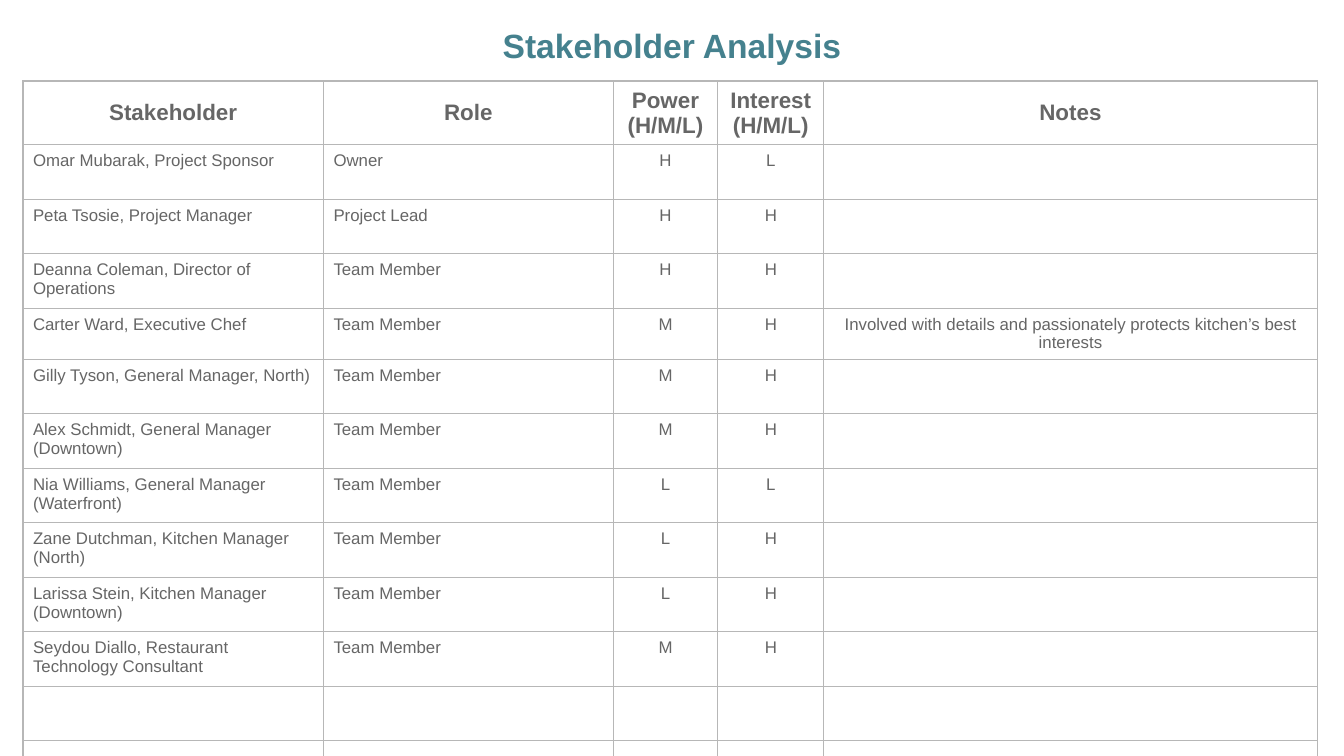
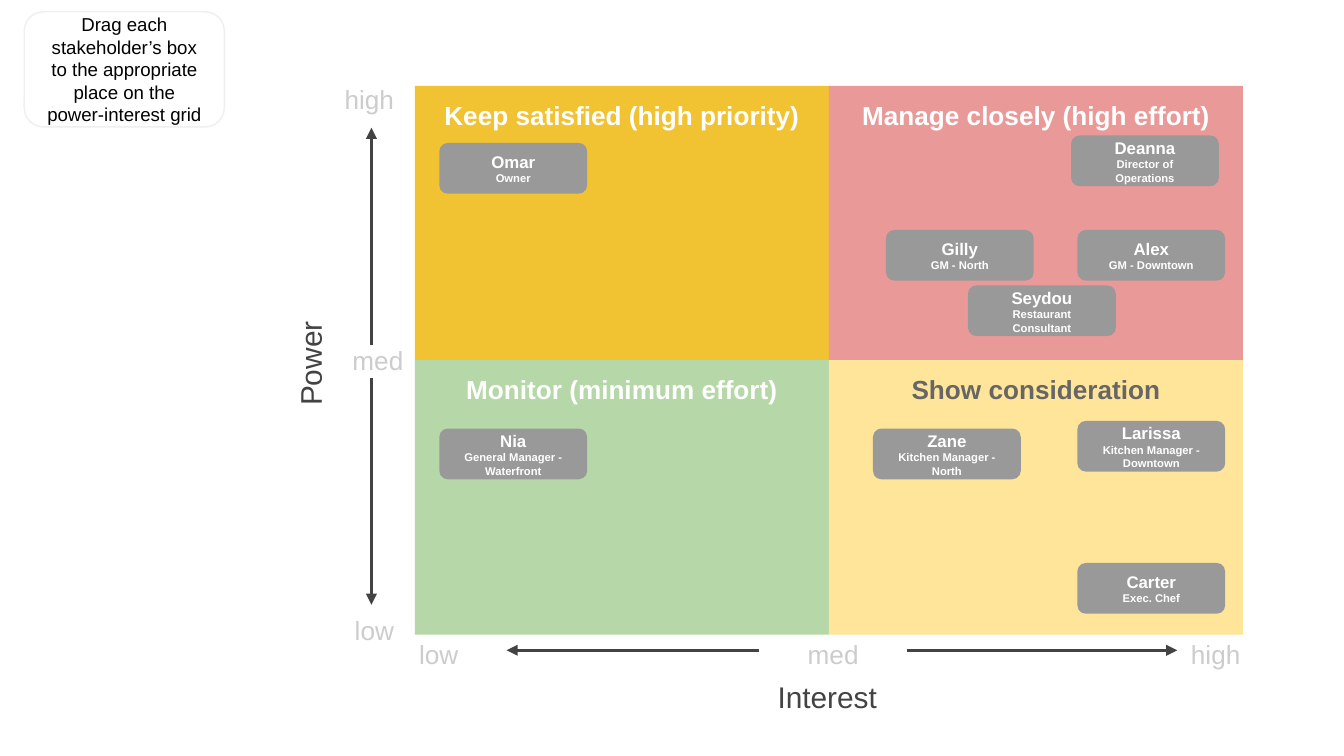
from lxml import etree
from pptx import Presentation
from pptx.dml.color import RGBColor
from pptx.enum.shapes import MSO_CONNECTOR, MSO_SHAPE
from pptx.enum.text import MSO_ANCHOR, MSO_AUTO_SIZE, PP_ALIGN
from pptx.oxml.ns import qn
from pptx.util import Pt

RECTANGLE, ROUNDED = MSO_SHAPE.RECTANGLE, MSO_SHAPE.ROUNDED_RECTANGLE
STRAIGHT = MSO_CONNECTOR.STRAIGHT
TOP, MIDDLE = MSO_ANCHOR.TOP, MSO_ANCHOR.MIDDLE
LEFT, CENTER, RIGHT = PP_ALIGN.LEFT, PP_ALIGN.CENTER, PP_ALIGN.RIGHT
NO_AUTOFIT = MSO_AUTO_SIZE.NONE

FONT = "Arial"
INSET = 7.2
TITLE_ONLY, BLANK = 5, 6
COLORS = {
    "title": "45818E", "table_text": "666666", "border": "B7B7B7",
    "axis": "434343", "scale": "CCCCCC", "chip": "999999",
    "white": "FFFFFF", "black": "000000", "hint_border": "EFEFEF",
    "gold": "F1C232", "rose": "EA9999", "green": "B6D7A8", "cream": "FFE599",
}

# Stakeholder table: all lengths in points
TABLE_LEFT, TABLE_TOP = 12.3, 43.4
COLUMN_WIDTHS = [161, 155.2, 56.1, 56.7, 264.4]
HEADER_HEIGHT, ROW_HEIGHT = 20, 26
HEADERS = ["Stakeholder", "Role", "Power (H/M/L)", "Interest (H/M/L)", "Notes"]
COLUMN_ALIGNMENTS = [LEFT, LEFT, CENTER, CENTER, CENTER]
STAKEHOLDERS = [
    ["Omar Mubarak, Project Sponsor", "Owner", "H", "L", ""],
    ["Peta Tsosie, Project Manager", "Project Lead", "H", "H", ""],
    ["Deanna Coleman, Director of Operations", "Team Member", "H", "H", ""],
    ["Carter Ward, Executive Chef", "Team Member", "M", "H",
     "Involved with details and passionately protects kitchen’s best interests"],
    ["Gilly Tyson, General Manager, North)", "Team Member", "M", "H", ""],
    ["Alex Schmidt, General Manager (Downtown)", "Team Member", "M", "H", ""],
    ["Nia Williams, General Manager (Waterfront)", "Team Member", "L", "L", ""],
    ["Zane Dutchman, Kitchen Manager (North)", "Team Member", "L", "H", ""],
    ["Larissa Stein, Kitchen Manager (Downtown)", "Team Member", "L", "H", ""],
    ["Seydou Diallo, Restaurant Technology Consultant", "Team Member", "M", "H", ""],
]
SPARE_ROWS = 2

# Power-interest grid
GRID_LEFT, GRID_TOP = 222.3, 46
QUADRANT_WIDTH, QUADRANT_HEIGHT = 221.8, 147
QUADRANTS = [  # row by row: heading, fill, text colour
    ("Keep satisfied (high priority)", "gold", "white"),
    ("Manage closely (high effort)", "rose", "white"),
    ("Monitor (minimum effort)", "green", "white"),
    ("Show consideration", "cream", "table_text"),
]
CHIP_WIDTH, CHIP_HEIGHT = 79.2, 27.2
CHIPS = [  # name, role, left, top
    ("Omar", "Owner", 235.4, 76.6),
    ("Deanna", "Director of Operations", 573.8, 72.6),
    ("Gilly", "GM - North", 474.6, 123.2),
    ("Alex", "GM - Downtown", 577.2, 123.2),
    ("Seydou", "Restaurant Consultant", 518.6, 152.9),
    ("Nia", "General Manager - Waterfront", 235.4, 229.6),
    ("Zane", "Kitchen Manager - North", 467.7, 229.6),
    ("Larissa", "Kitchen Manager - Downtown", 577.2, 225.5),
    ("Carter", "Exec. Chef", 577.2, 301.6),
]
SCALE_LABELS = [  # text, box, alignment
    ("high", (122.4, 37.4, 95.8, 18.7), RIGHT),
    ("med", (174.2, 177.1, 49, 31.7), RIGHT),
    ("low", (122.4, 321.8, 95.8, 18.7), RIGHT),
    ("low", (198.7, 334.8, 72.7, 27.4), CENTER),
    ("med", (406.8, 334.8, 79.2, 27.4), CENTER),
    ("high", (614.9, 334.8, 72.7, 27.4), CENTER),
]
VERTICAL_AXIS_X, HORIZONTAL_AXIS_Y = 199, 348.4
ARROWS = [  # start, end
    ((VERTICAL_AXIS_X, 185), (VERTICAL_AXIS_X, 68.4)),
    ((VERTICAL_AXIS_X, 202.3), (VERTICAL_AXIS_X, 324)),
    ((406.8, HORIZONTAL_AXIS_Y), (271.4, HORIZONTAL_AXIS_Y)),
    ((486, HORIZONTAL_AXIS_Y), (630.7, HORIZONTAL_AXIS_Y)),
]


def color(name):
    return RGBColor.from_string(COLORS[name])


def points(lengths):
    return [Pt(length) for length in lengths]


def style_paragraph(paragraph, size, color_name, bold=False, align=CENTER):
    paragraph.alignment = align
    font = paragraph.font
    font.name, font.size, font.bold = FONT, Pt(size), bold
    font.color.rgb = color(color_name)


def write_text(shape, lines, color_name, bold=False, align=CENTER, anchor=TOP):
    """Fill a shape with (text, size) lines, one paragraph each."""
    frame = shape.text_frame
    frame.word_wrap = True
    frame.auto_size = NO_AUTOFIT
    frame.vertical_anchor = anchor
    frame.margin_left = frame.margin_right = Pt(INSET)
    frame.margin_top = frame.margin_bottom = Pt(INSET)
    frame.text = "\n".join(text for text, _ in lines)
    for paragraph, (_, size) in zip(frame.paragraphs, lines):
        style_paragraph(paragraph, size, color_name, bold, align)


def add_title(slide, text):
    title = slide.shapes.title
    title.left, title.top, title.width, title.height = points((60, 3, 600, 36))
    write_text(title, [(text, 18)], "title", bold=True)
    title.text_frame.paragraphs[0].line_spacing = 1.15


def add_label(slide, text, box, size, color_name, align=CENTER, anchor=TOP):
    label = slide.shapes.add_textbox(*points(box))
    write_text(label, [(text, size)], color_name, align=align, anchor=anchor)
    return label


def add_box(slide, kind, box, fill=None, border=None):
    shape = slide.shapes.add_shape(kind, *points(box))
    shape.shadow.inherit = False
    if fill:
        shape.fill.solid()
        shape.fill.fore_color.rgb = color(fill)
    else:
        shape.fill.background()
    if border:
        shape.line.color.rgb = color(border)
        shape.line.width = Pt(0.75)
    else:
        shape.line.fill.background()
    return shape


def add_arrow(slide, start, end):
    arrow = slide.shapes.add_connector(STRAIGHT, *points(start + end))
    arrow.line.color.rgb = color("axis")
    arrow.line.width = Pt(1.5)
    line = arrow.line._get_or_add_ln()
    etree.SubElement(line, qn("a:tailEnd"), type="triangle")
    etree.SubElement(arrow._element.spPr, qn("a:effectLst"))


def set_borders(cell):
    properties = cell._tc.get_or_add_tcPr()
    for side in ("a:lnL", "a:lnR", "a:lnT", "a:lnB"):
        line = etree.SubElement(properties, qn(side), w=str(Pt(0.75)))
        fill = etree.SubElement(line, qn("a:solidFill"))
        etree.SubElement(fill, qn("a:srgbClr"), val=COLORS["border"])


def format_cell(cell, text, size, bold, align, anchor):
    set_borders(cell)
    cell.fill.background()
    cell.margin_left = cell.margin_right = Pt(5.4)
    cell.margin_top = cell.margin_bottom = Pt(3.6)
    cell.vertical_anchor = anchor
    if text:
        cell.text = text
        style_paragraph(cell.text_frame.paragraphs[0], size, "table_text", bold, align)


def add_stakeholder_table(slide):
    rows = [HEADERS] + STAKEHOLDERS + [[""] * len(HEADERS)] * SPARE_ROWS
    heights = [HEADER_HEIGHT] + [ROW_HEIGHT] * (len(rows) - 1)
    box = (TABLE_LEFT, TABLE_TOP, sum(COLUMN_WIDTHS), sum(heights))
    table = slide.shapes.add_table(len(rows), len(HEADERS), *points(box)).table
    table.first_row = table.horz_banding = False
    for column, width in zip(table.columns, COLUMN_WIDTHS):
        column.width = Pt(width)
    for row_index, values in enumerate(rows):
        table.rows[row_index].height = Pt(heights[row_index])
        for column_index, text in enumerate(values):
            cell = table.cell(row_index, column_index)
            if row_index == 0:
                format_cell(cell, text, 12, True, CENTER, MIDDLE)
            else:
                format_cell(cell, text, 9, False, COLUMN_ALIGNMENTS[column_index], TOP)


def add_quadrants(slide):
    for index, (heading, fill, text_color) in enumerate(QUADRANTS):
        row, column = divmod(index, 2)
        box = (GRID_LEFT + column * QUADRANT_WIDTH, GRID_TOP + row * QUADRANT_HEIGHT,
               QUADRANT_WIDTH, QUADRANT_HEIGHT)
        quadrant = add_box(slide, RECTANGLE, box, fill)
        write_text(quadrant, [(heading, 14)], text_color, bold=True)


def add_axes(slide):
    power = add_label(slide, "Power", (100.1, 182.2, 131.8, 25.2), 16, "axis", anchor=MIDDLE)
    power.rotation = 270
    add_label(slide, "Interest", (389.5, 356.4, 107.3, 33.8), 16, "axis")
    for text, box, align in SCALE_LABELS:
        add_label(slide, text, box, 14, "scale", align)
    for start, end in ARROWS:
        add_arrow(slide, start, end)


def add_chip(slide, name, role, left, top):
    chip = add_box(slide, ROUNDED, (left, top, CHIP_WIDTH, CHIP_HEIGHT), "chip")
    write_text(chip, [(name, 9), (role, 6)], "white", bold=True, anchor=MIDDLE)


def add_hint(slide):
    hint = add_box(slide, ROUNDED, (13, 6.3, 107.2, 61.7), border="hint_border")
    text = "Drag each stakeholder’s box to the appropriate place on the power-interest grid"
    write_text(hint, [(text, 10)], "black", anchor=MIDDLE)


def main():
    presentation = Presentation()
    presentation.slide_width, presentation.slide_height = Pt(720), Pt(405)
    layouts = presentation.slide_layouts

    # Stakeholder analysis
    slide = presentation.slides.add_slide(layouts[TITLE_ONLY])
    add_stakeholder_table(slide)
    add_title(slide, "Stakeholder Analysis")

    # Power-interest grid
    slide = presentation.slides.add_slide(layouts[BLANK])
    add_quadrants(slide)
    add_axes(slide)
    add_hint(slide)
    for chip in CHIPS:
        add_chip(slide, *chip)

    presentation.save("out.pptx")


if __name__ == "__main__":
    main()
